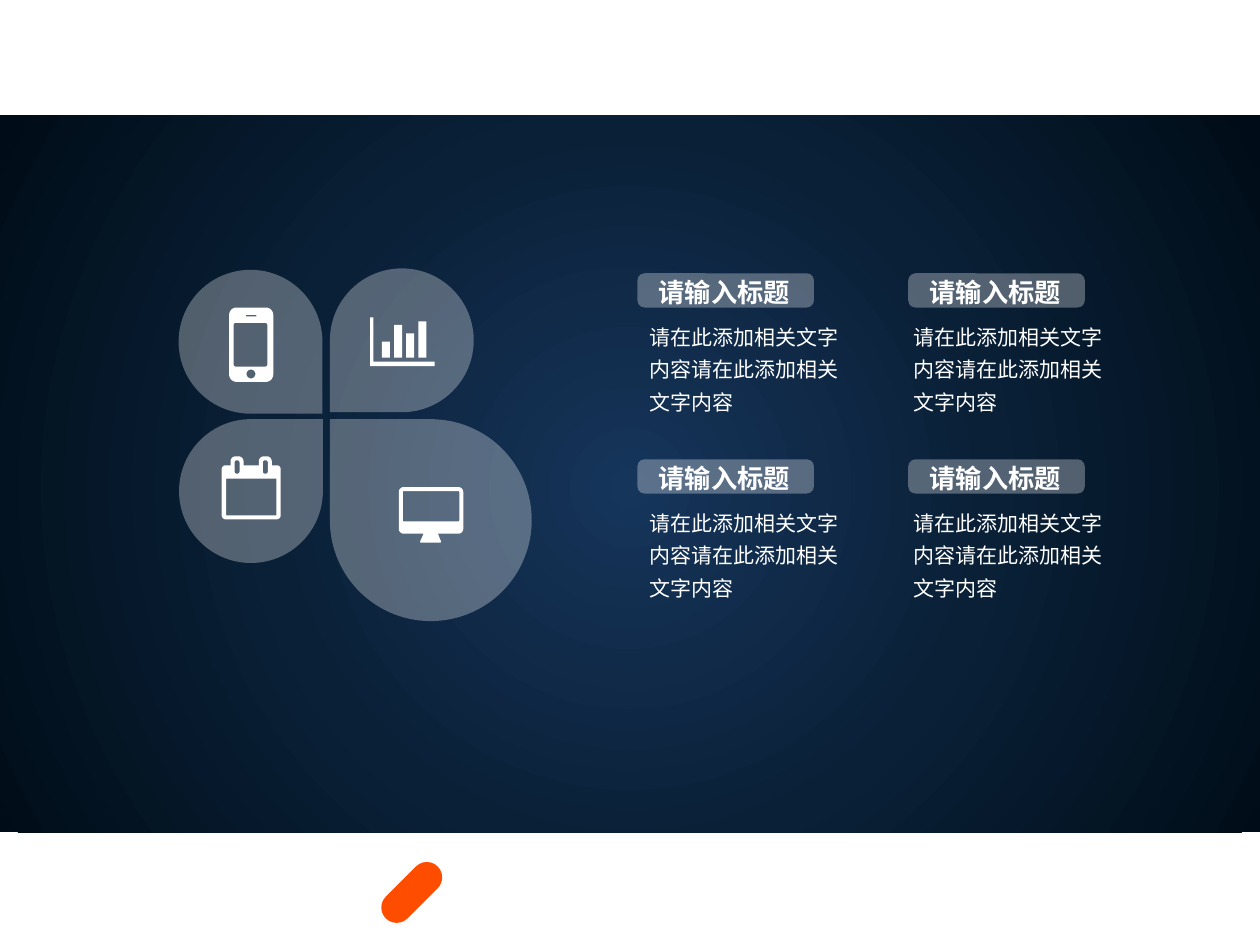
import math
from lxml import etree
from pptx import Presentation
from pptx.dml.color import RGBColor
from pptx.enum.shapes import MSO_SHAPE
from pptx.enum.text import MSO_AUTO_SIZE
from pptx.oxml import parse_xml
from pptx.oxml.ns import nsdecls, qn
from pptx.util import Cm, Pt

RECTANGLE = MSO_SHAPE.RECTANGLE
ROUNDED = MSO_SHAPE.ROUNDED_RECTANGLE
TEARDROP = MSO_SHAPE.TEAR
FIT_SHAPE = MSO_AUTO_SIZE.SHAPE_TO_FIT_TEXT

COLORS = {
    "white": "FFFFFF",
    "center": "16355B",
    "middle": "0A2037",
    "edge": "000D18",
    "accent": "FF4D00",
}
FONT = "Noto Sans CJK SC"
TITLE = "请输入标题"
BODY = "请在此添加相关文字内容请在此添加相关文字内容"


def box(left, top, right, bottom, radius=0):
    corners = [(left, top), (right, top), (right, bottom), (left, bottom)]
    return corners, [radius] * 4


def round_corners(corners, radii, steps=6):
    points = []
    for index, (corner, radius) in enumerate(zip(corners, radii)):
        if radius == 0:
            points.append((Cm(corner[0]), Cm(corner[1])))
            continue
        ends = []
        for neighbour in (corners[index - 1], corners[(index + 1) % len(corners)]):
            share = radius / math.dist(corner, neighbour)
            ends.append([c + (n - c) * share for c, n in zip(corner, neighbour)])
        for step in range(steps + 1):
            t = step / steps
            weights = ((1 - t) ** 2, math.sqrt(2) * t * (1 - t), t**2)
            points.append(tuple(
                Cm(sum(w * v for w, v in zip(weights, values)) / sum(weights))
                for values in zip(ends[0], corner, ends[1])
            ))
    return points


presentation = Presentation()
presentation.slide_width = Cm(25.4)
presentation.slide_height = Cm(19.05)
slide = presentation.slides.add_slide(presentation.slide_layouts[6])
solid_shapes = []
glass_shapes = []

backdrop = slide.shapes.add_shape(RECTANGLE, 0, Cm(2.32), Cm(25.4), Cm(14.46))
backdrop.shadow.inherit = False
backdrop.line.fill.background()
backdrop.fill.gradient()
gradient = backdrop._element.spPr.find(qn("a:gradFill"))
stops = "".join(
    f'<a:gs pos="{position}"><a:srgbClr val="{COLORS[name]}"/></a:gs>'
    for position, name in ((0, "center"), (50000, "middle"), (100000, "edge"))
)
radial = parse_xml(
    f'<a:gradFill {nsdecls("a")} rotWithShape="1"><a:gsLst>{stops}</a:gsLst>'
    '<a:path path="circle"><a:fillToRect l="50000" t="52000" r="50000" b="48000"/>'
    "</a:path></a:gradFill>"
)
gradient.getparent().replace(gradient, radial)

footer_mark = slide.shapes.add_shape(ROUNDED, Cm(7.56), Cm(17.68), Cm(1.48), Cm(0.62))
footer_mark.adjustments[0] = 0.5
footer_mark.rotation = -45
solid_shapes.append((footer_mark, "accent"))

for left, top, size, rotation in (
    (6.65, 8.45, 4.07, 270),
    (6.65, 5.41, 2.9, 180),
    (3.61, 8.45, 2.9, 0),
    (3.6, 5.44, 2.9, 90),
):
    petal = slide.shapes.add_shape(TEARDROP, Cm(left), Cm(top), Cm(size), Cm(size))
    petal.rotation = rotation
    glass_shapes.append(petal)

calendar_outline = [
    (0, 0.18), (0.18, 0.18), (0.18, 0), (0.44, 0), (0.44, 0.18), (0.75, 0.18),
    (0.75, 0), (1.01, 0), (1.01, 0.18), (1.19, 0.18), (1.19, 1.27), (0, 1.27),
]
calendar_radii = [0.08, 0, 0.1, 0.1, 0, 0, 0.1, 0.1, 0, 0.08, 0.08, 0.08]
monitor_stand = [(0.5, 0.94), (0.79, 0.94), (0.86, 1.12), (0.42, 1.12)]
axes = [(0, 0), (0.07, 0), (0.07, 0.89), (1.3, 0.89), (1.3, 0.98), (0, 0.98)]
bars = [
    box(0.24 + 0.245 * index, top, 0.4 + 0.245 * index, 0.81)
    for index, top in enumerate((0.49, 0.15, 0.32, 0.08))
]
icons = (
    (4.47, 9.2, [
        (calendar_outline, calendar_radii),
        box(0.09, 0.45, 1.1, 1.19),
        box(0.26, 0.08, 0.36, 0.35, 0.04),
        box(0.83, 0.08, 0.93, 0.35, 0.04),
    ]),
    (8.04, 9.82, [
        box(0, 0, 1.3, 0.94, 0.1),
        box(0.08, 0.08, 1.22, 0.69, 0.02),
        (monitor_stand, [0, 0, 0.03, 0.03]),
    ]),
    (7.46, 6.4, [(axes, [0] * 6)] + bars),
    (4.62, 6.2, [
        box(0, 0, 0.89, 1.5, 0.15),
        box(0.09, 0.31, 0.77, 1.19, 0.04),
        box(0.34, 0.15, 0.55, 0.18, 0.01),
        box(0.35, 1.25, 0.53, 1.43, 0.09),
    ]),
)
for left, top, contours in icons:
    outlines = [round_corners(corners, radii) for corners, radii in contours]
    builder = slide.shapes.build_freeform(*outlines[0][0])
    builder.add_line_segments(outlines[0][1:])
    for outline in outlines[1:]:
        builder.move_to(*outline[0])
        builder.add_line_segments(outline[1:])
    icon = builder.convert_to_shape(Cm(left), Cm(top))
    solid_shapes.append((icon, "white"))

for row in range(2):
    for badge_left, body_left in ((12.85, 12.85), (18.31, 18.17)):
        top = 5.51 + 3.75 * row
        group = slide.shapes.add_group_shape()
        badge = group.shapes.add_shape(
            ROUNDED, Cm(badge_left), Cm(top), Cm(3.56), Cm(0.69)
        )
        badge.adjustments[0] = 0.21
        glass_shapes.append(badge)
        for text, left, offset, width, height, size, bold, spacing in (
            (TITLE, badge_left + 0.18, -0.07, 3.2, 0.89, 15, True, 1),
            (BODY, body_left, 0.75, 4.33, 2.26, 12, False, 1.3),
        ):
            text_box = group.shapes.add_textbox(
                Cm(left), Cm(top + offset), Cm(width), Cm(height)
            )
            frame = text_box.text_frame
            frame.word_wrap = True
            frame.auto_size = FIT_SHAPE
            paragraph = frame.paragraphs[0]
            paragraph.line_spacing = spacing
            run = paragraph.add_run()
            run.text = text
            run.font.size = Pt(size)
            run.font.bold = bold
            run.font.name = FONT
            run.font.color.rgb = RGBColor.from_string(COLORS["white"])
            etree.SubElement(run.font._element, qn("a:ea"), typeface=FONT)

for shape, color in solid_shapes + [(shape, "white") for shape in glass_shapes]:
    shape.shadow.inherit = False
    shape.line.fill.background()
    shape.fill.solid()
    shape.fill.fore_color.rgb = RGBColor.from_string(COLORS[color])

for shape in glass_shapes:
    tint = shape._element.spPr.find(qn("a:solidFill")).find(qn("a:srgbClr"))
    etree.SubElement(tint, qn("a:alpha"), val="30000")

presentation.save("out.pptx")
